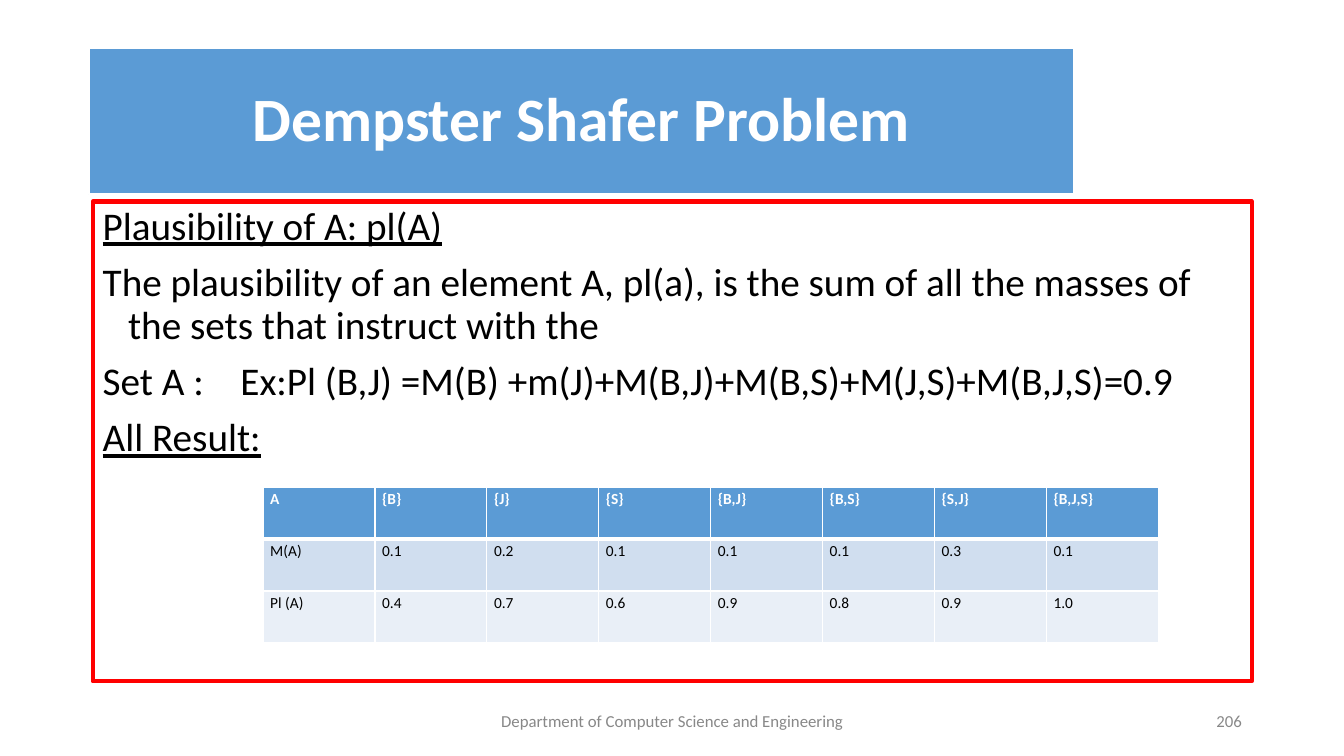
import dataclasses
import typing

import pptx
import pptx.dml.color
import pptx.enum.shapes
import pptx.enum.text
import pptx.oxml
import pptx.oxml.ns
import pptx.util

Cm = pptx.util.Cm
Pt = pptx.util.Pt
ALIGN = pptx.enum.text.PP_ALIGN
ANCHOR = pptx.enum.text.MSO_ANCHOR

COLORS = {
    "blue": "5B9BD5",
    "white": "FFFFFF",
    "black": "000000",
    "red": "FF0000",
    "gray": "888888",
    "mass_row": "D0DEEF",
    "plausibility_row": "E9EFF7",
}


@dataclasses.dataclass
class Line:
    text: str
    underline: bool = False
    space_before: float = 0
    hanging: float = 0
    tab: float = 0


@dataclasses.dataclass
class Box:
    left: float
    top: float
    width: float
    height: float
    lines: list[Line]
    size: float
    color: str
    bold: bool = False
    align: typing.Any = ALIGN.LEFT
    anchor: typing.Any = ANCHOR.MIDDLE
    spacing: float = 1.0
    fill: str | None = None
    outline: str | None = None
    outline_width: float = 0


@dataclasses.dataclass
class Row:
    values: list[str]
    fill: str
    color: str
    bold: bool
    top_border: float
    bottom_border: float


HANGING = 0.64
BOXES = [
    Box(2.34, 5.08, 29.21, 12.09, [
        Line("Plausibility of A: pl(A)", True, 0, HANGING),
        Line("The plausibility of an element A, pl(a), is the sum of all the masses of "
             "the sets that instruct with the", False, 10, HANGING),
        Line("Set A :\tEx:Pl (B,J) =M(B) +m(J)+M(B,J)+M(B,S)+M(J,S)+M(B,J,S)=0.9",
             False, 10, 0, 3.47),
        Line("All Result:", True, 10, HANGING),
    ], 28, "black", anchor=ANCHOR.TOP, spacing=0.9, outline="red", outline_width=3),
    Box(11.23, 17.65, 11.43, 1.02, [Line("Department of Computer Science and Engineering")],
        12, "gray", align=ALIGN.CENTER),
    Box(23.93, 17.65, 7.62, 1.02, [Line("206")], 12, "gray", align=ALIGN.RIGHT),
    Box(2.24, 1.22, 24.84, 3.68, [Line("Dempster Shafer Problem")], 44, "white", True,
        ALIGN.CENTER, spacing=0.9, fill="blue", outline="white", outline_width=1.5),
]
ROWS = [
    Row(["A", "{B}", "{J}", "{S}", "{B,J}", "{B,S}", "{S,J}", "{B,J,S}"],
        "blue", "white", True, 1, 3),
    Row(["M(A)", "0.1", "0.2", "0.1", "0.1", "0.1", "0.3", "0.1"],
        "mass_row", "black", False, 3, 1),
    Row(["Pl (A)", "0.4", "0.7", "0.6", "0.9", "0.8", "0.9", "1.0"],
        "plausibility_row", "black", False, 1, 1),
]


def rgb(name: str) -> pptx.dml.color.RGBColor:
    return pptx.dml.color.RGBColor.from_string(COLORS[name])


def apply_format(target: typing.Any, values: dict[str, typing.Any]) -> None:
    for name, value in values.items():
        setattr(target, name, value)


def paint(fill: typing.Any, color: str) -> None:
    fill.solid()
    fill.fore_color.rgb = rgb(color)


def write_run(paragraph: typing.Any, text: str, size: float, color: str,
              bold: bool, underline: bool = False) -> None:
    run = paragraph.add_run()
    run.text = text
    apply_format(run.font, {"name": "Calibri", "size": Pt(size), "bold": bold,
                            "underline": underline})
    run.font.color.rgb = rgb(color)


def indent_paragraph(paragraph: typing.Any, line: Line) -> None:
    properties = paragraph._p.get_or_add_pPr()
    if line.hanging:
        properties.set("marL", str(Cm(line.hanging)))
        properties.set("indent", str(-Cm(line.hanging)))
    if line.tab:
        properties.append(pptx.oxml.parse_xml(
            f'<a:tabLst {pptx.oxml.ns.nsdecls("a")}>'
            f'<a:tab pos="{Cm(line.tab)}" algn="l"/></a:tabLst>'))


def draw_box(slide: typing.Any, box: Box) -> None:
    place = [Cm(length) for length in (box.left, box.top, box.width, box.height)]
    if box.outline:
        shape = slide.shapes.add_shape(pptx.enum.shapes.MSO_SHAPE.RECTANGLE, *place)
        shape.shadow.inherit = False
        shape.line.color.rgb = rgb(box.outline)
        shape.line.width = Pt(box.outline_width)
        if box.fill:
            paint(shape.fill, box.fill)
        else:
            shape.fill.background()
    else:
        shape = slide.shapes.add_textbox(*place)
    frame = shape.text_frame
    apply_format(frame, {"word_wrap": True, "vertical_anchor": box.anchor})
    for index, line in enumerate(box.lines):
        paragraph = frame.add_paragraph() if index else frame.paragraphs[0]
        indent_paragraph(paragraph, line)
        apply_format(paragraph, {"alignment": box.align, "line_spacing": box.spacing,
                                 "space_before": Pt(line.space_before)})
        write_run(paragraph, line.text, box.size, box.color, box.bold, line.underline)


def border_cell(cell: typing.Any, row: Row) -> None:
    properties = cell._tc.get_or_add_tcPr()
    widths = {"lnL": 1, "lnR": 1, "lnT": row.top_border, "lnB": row.bottom_border}
    for tag, width in widths.items():
        properties.append(pptx.oxml.parse_xml(
            f'<a:{tag} {pptx.oxml.ns.nsdecls("a")} w="{Pt(width)}"><a:solidFill>'
            f'<a:srgbClr val="{COLORS["white"]}"/></a:solidFill></a:{tag}>'))


def draw_table(slide: typing.Any, left: float, top: float,
               column_width: float, row_height: float) -> None:
    column_count = len(ROWS[0].values)
    table = slide.shapes.add_table(
        len(ROWS), column_count, Cm(left), Cm(top),
        Cm(column_width * column_count), Cm(row_height * len(ROWS))).table
    for column in table.columns:
        column.width = Cm(column_width)
    for row_index, row in enumerate(ROWS):
        table.rows[row_index].height = Cm(row_height)
        for column_index, value in enumerate(row.values):
            cell = table.cell(row_index, column_index)
            border_cell(cell, row)
            paint(cell.fill, row.fill)
            apply_format(cell, {"margin_left": Cm(0.18), "margin_right": Cm(0.18),
                                "margin_top": 0, "margin_bottom": 0})
            paragraph = cell.text_frame.paragraphs[0]
            paragraph.line_spacing = 1.15
            write_run(paragraph, value, 11, row.color, row.bold)


def main() -> None:
    presentation = pptx.Presentation()
    apply_format(presentation, {"slide_width": Cm(33.87), "slide_height": Cm(19.05)})
    slide = presentation.slides.add_slide(presentation.slide_layouts[6])
    body, footer, number, title = BOXES
    for box in (body, footer, number):
        draw_box(slide, box)
    draw_table(slide, 6.63, 12.27, 2.82, 1.31)
    draw_box(slide, title)
    presentation.save("out.pptx")


if __name__ == "__main__":
    main()
